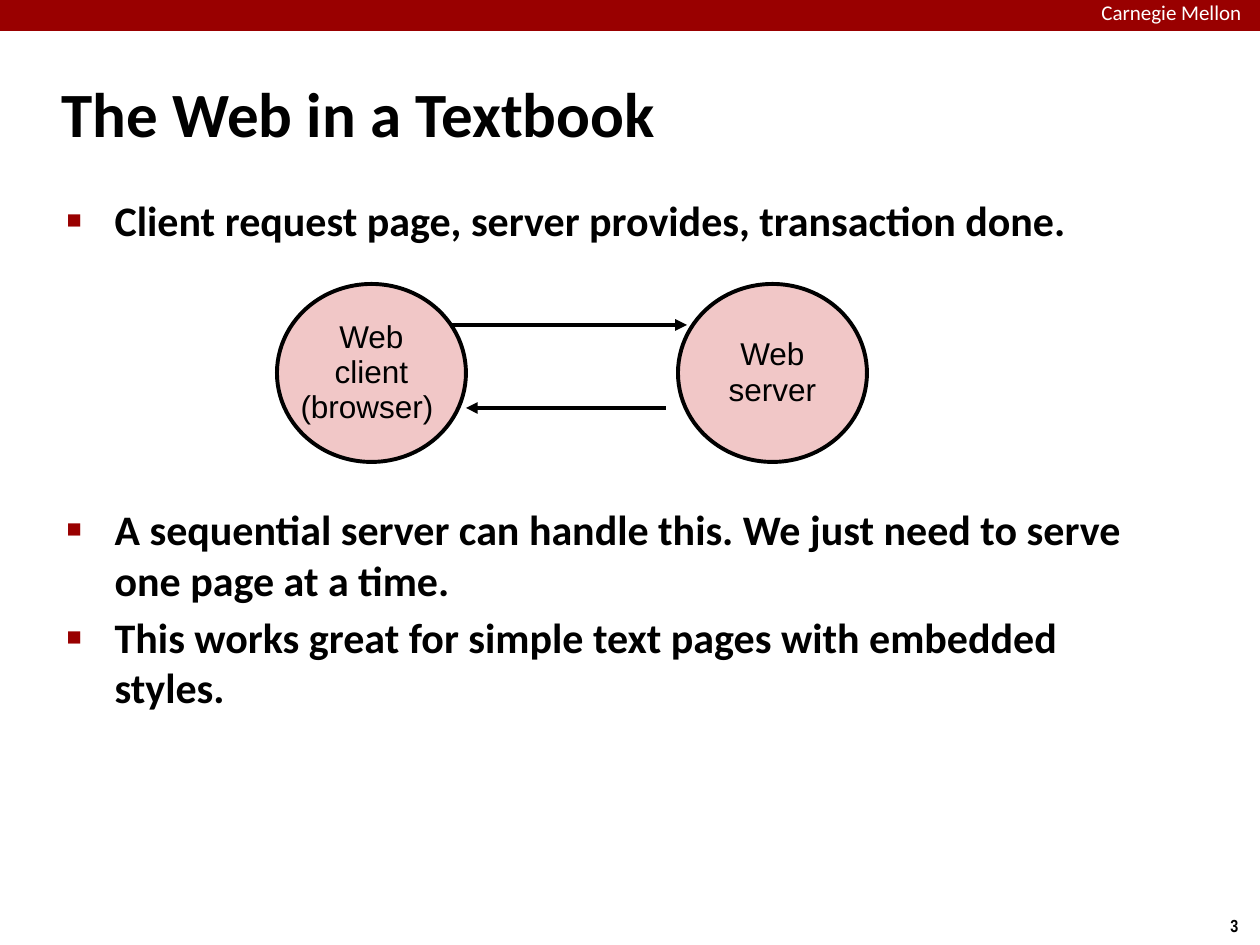
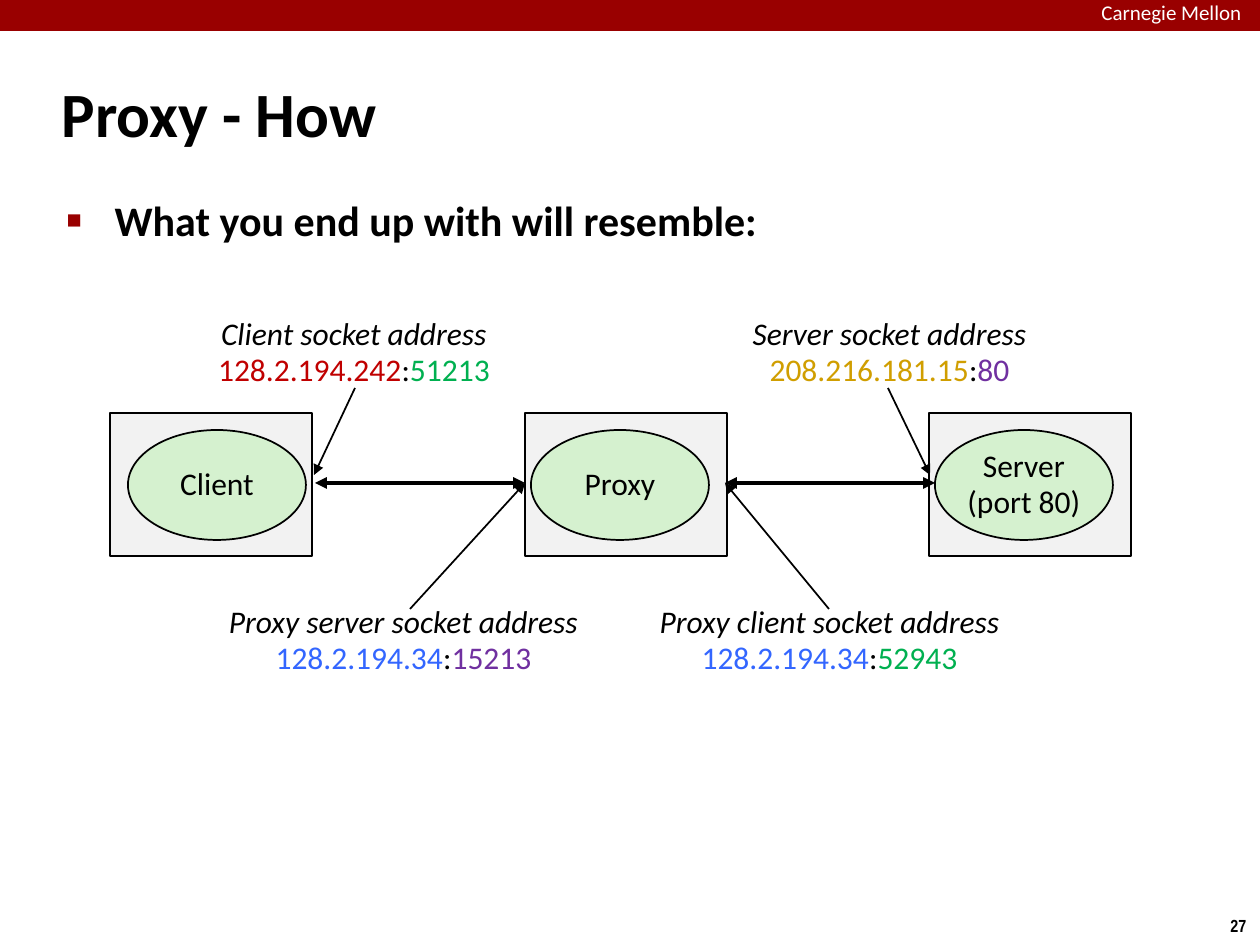
from dataclasses import dataclass

from lxml.etree import SubElement
from pptx import Presentation
from pptx.dml.color import RGBColor
from pptx.enum.shapes import MSO_CONNECTOR as Connector, MSO_SHAPE as Preset
from pptx.enum.text import MSO_ANCHOR as Anchor, MSO_AUTO_SIZE as AutoSize, PP_ALIGN as Align
from pptx.oxml.ns import qn
from pptx.util import Inches, Pt

PX_PER_INCH = 126


@dataclass(frozen=True)
class Theme:
    red: str = "990000"
    black: str = "000000"
    white: str = "FFFFFF"
    pink: str = "F1C7C7"
    green: str = "D5F1CF"
    grey: str = "F2F2F2"
    client_host: str = "C00000"
    server_host: str = "D09E00"
    proxy_host: str = "3366FF"
    client_port: str = "00B050"
    server_port: str = "7030A0"
    font: str = "Calibri"
    circle_font: str = "Arial"
    number_font: str = "Arial Narrow"
    title_size: int = 36
    body_size: int = 24
    label_size: int = 18
    brand_size: int = 12
    number_size: int = 10
    thick: float = 2.25
    thin: float = 1
    line_spacing: float = 0.93


THEME = Theme()


def px(length):
    return round(Inches(1) * length / PX_PER_INCH)


def rgb(code):
    return RGBColor.from_string(code)


def style_font(font, size, name=THEME.font, color=THEME.black, bold=False, italic=False):
    font.size = Pt(size)
    font.name = name
    font.color.rgb = rgb(color)
    font.bold = bold
    font.italic = italic


def place(box, left, top, width, height):
    box.left, box.top, box.width, box.height = map(px, (left, top, width, height))


def add_paragraph(frame, index, align):
    para = frame.paragraphs[0] if index == 0 else frame.add_paragraph()
    para.alignment = align
    para.line_spacing = THEME.line_spacing
    return para


def add_text(page, text, bounds, size, **style):
    box = page.shapes.add_textbox(*map(px, bounds))
    box.text_frame.word_wrap = True
    para = add_paragraph(box.text_frame, 0, Align.LEFT)
    para.text = text
    style_font(para.font, size, **style)


def add_node(page, preset, bounds, fill, weight, lines=(), font=THEME.font):
    node = page.shapes.add_shape(preset, *map(px, bounds))
    node.shadow.inherit = False
    node.fill.solid()
    node.fill.fore_color.rgb = rgb(fill)
    node.line.color.rgb = rgb(THEME.black)
    node.line.width = Pt(weight)
    frame = node.text_frame
    frame.word_wrap = False
    frame.vertical_anchor = Anchor.MIDDLE
    for index, line in enumerate(lines):
        para = add_paragraph(frame, index, Align.CENTER)
        para.text = line
        style_font(para.font, THEME.label_size, font)


def add_arrow(page, start, end, weight, both_ends=False):
    arrow = page.shapes.add_connector(Connector.STRAIGHT, *map(px, start + end))
    arrow.line.color.rgb = rgb(THEME.black)
    arrow.line.width = Pt(weight)
    outline = arrow.line._get_or_add_ln()
    for tag in ("a:headEnd", "a:tailEnd") if both_ends else ("a:tailEnd",):
        SubElement(outline, qn(tag), type="triangle")
    SubElement(arrow._element.spPr, qn("a:effectLst"))


def add_address(page, bounds, caption, host, port):
    box = page.shapes.add_textbox(*map(px, bounds))
    frame = box.text_frame
    frame.word_wrap = False
    frame.vertical_anchor = Anchor.MIDDLE
    heading = add_paragraph(frame, 0, Align.CENTER)
    heading.text = caption
    style_font(heading.font, THEME.label_size, italic=True)
    address = add_paragraph(frame, 1, Align.CENTER)
    style_font(address.font, THEME.label_size)
    for text, color in (host, (":", THEME.black), port):
        span = address.add_run()
        span.text = text
        span.font.color.rgb = rgb(color)


def add_bullet(para):
    properties = para._p.get_or_add_pPr()
    properties.set("marL", str(px(48)))
    properties.set("indent", str(-px(48)))
    color = SubElement(properties, qn("a:buClr"))
    SubElement(color, qn("a:srgbClr"), val=THEME.red)
    SubElement(properties, qn("a:buSzPct"), val="60000")
    SubElement(properties, qn("a:buChar"), char="■")


def fill_body(body, bullets):
    frame = body.text_frame
    frame.auto_size = AutoSize.NONE
    for index, (text, space_before) in enumerate(bullets):
        para = frame.paragraphs[0] if index == 0 else frame.add_paragraph()
        para.text = text
        para.space_before = Pt(space_before)
        add_bullet(para)
        style_font(para.font, THEME.body_size, bold=True)


def add_page(deck, title_text, number, bullets, body_height):
    page = deck.slides.add_slide(deck.slide_layouts[1])
    add_node(page, Preset.RECTANGLE, (0, 0, 1260, 31), THEME.red, THEME.thin)
    band = page.shapes[-1]
    band.line.fill.background()
    add_text(page, "Carnegie Mellon", (1089, -4, 180, 38), THEME.brand_size, color=THEME.white)
    add_text(page, number, (1218, 911, 43, 34), THEME.number_size,
             name=THEME.number_font, bold=True)
    title, body = page.placeholders
    place(title, 49, 60, 1046, 105)
    title.text_frame.auto_size = AutoSize.NONE
    title.text_frame.vertical_anchor = Anchor.MIDDLE
    para = title.text_frame.paragraphs[0]
    para.text = title_text
    para.alignment = Align.LEFT
    style_font(para.font, THEME.title_size, bold=True)
    place(body, 54, 188, 1089, body_height)
    fill_body(body, bullets)
    return page


def build_textbook_page(deck):
    page = add_page(deck, "The Web in a Textbook", "3", [
        ("Client request page, server provides, transaction done.", 0),
        ("A sequential server can handle this. We just need to serve one page at a time.", 148),
        ("This works great for simple text pages with embedded styles.", 4),
    ], 685)

    def add_circle(left, lines):
        add_node(page, Preset.OVAL, (left, 284, 189, 178), THEME.pink, THEME.thick,
                 lines, THEME.circle_font)

    add_circle(678, ("Web", "server"))
    add_arrow(page, (446, 325), (687, 325), THEME.thick)
    add_arrow(page, (666, 408), (466, 408), THEME.thick)
    add_circle(277, ("Web", "client", "(browser) "))


def build_proxy_page(deck):
    page = add_page(deck, "Proxy - How", "27",
                    [("What you end up with will resemble:", 0)], 117)
    hosts = (
        (110, 128, ("Client",)),
        (525, 531, ("Proxy",)),
        (929, 935, ("Server", "(port 80)")),
    )
    for host_left, process_left, lines in hosts:
        add_node(page, Preset.RECTANGLE, (host_left, 413, 202, 143), THEME.grey, THEME.thin)
        add_node(page, Preset.OVAL, (process_left, 430, 178, 110), THEME.green,
                 THEME.thin, lines)
    for left in (315, 725):
        add_arrow(page, (left, 483), (left + 210, 483), THEME.thick, both_ends=True)

    proxy_host = ("128.2.194.34", THEME.proxy_host)
    addresses = (
        ((202, 311, 304, 84), "Client socket address",
         ("128.2.194.242", THEME.client_host), ("51213", THEME.client_port)),
        ((711, 311, 357, 84), "Server socket address",
         ("208.216.181.15", THEME.server_host), ("80", THEME.server_port)),
        ((210, 599, 387, 84), "Proxy server socket address",
         proxy_host, ("15213", THEME.server_port)),
        ((640, 599, 379, 84), "Proxy client socket address",
         proxy_host, ("52943", THEME.client_port)),
    )
    for address in addresses:
        add_address(page, *address)

    pointers = (
        ((355, 388), (314, 475)),
        ((888, 388), (930, 475)),
        ((410, 609), (525, 483)),
        ((829, 609), (725, 483)),
    )
    for start, end in pointers:
        add_arrow(page, start, end, THEME.thin)


def main():
    deck = Presentation()
    deck.slide_width, deck.slide_height = px(1260), px(945)
    build_textbook_page(deck)
    build_proxy_page(deck)
    deck.save("out.pptx")


if __name__ == "__main__":
    main()
